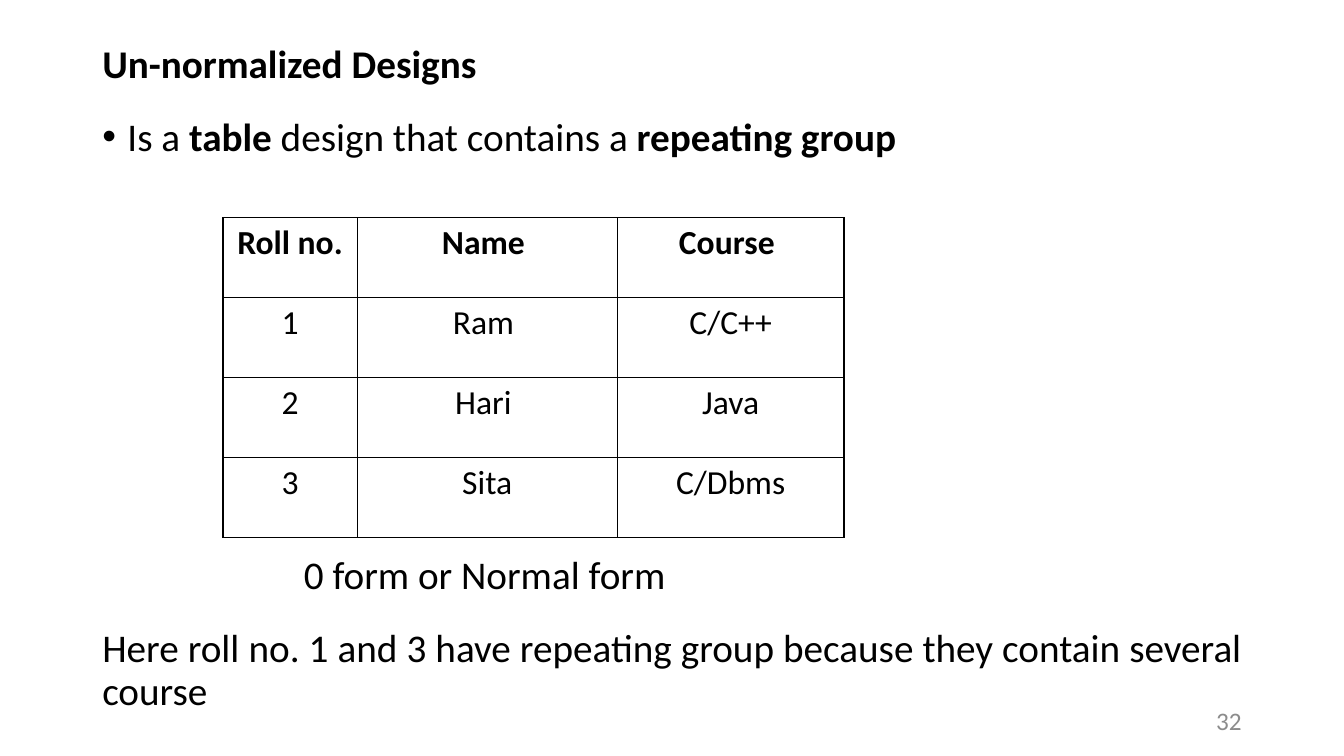
from lxml.etree import SubElement
from pptx import Presentation
from pptx.dml.color import RGBColor
from pptx.enum.text import MSO_ANCHOR as Anchor, PP_ALIGN as Align
from pptx.oxml.ns import qn
from pptx.util import Pt

BLACK = RGBColor(0x00, 0x00, 0x00)
WHITE = RGBColor(0xFF, 0xFF, 0xFF)
GRAY = RGBColor(0x8C, 0x8C, 0x8C)
FONT = "Calibri"

STUDENTS = [
    ("Roll no.", "Name ", "Course "),
    ("1", "Ram ", "C/C++"),
    ("2", "Hari ", "Java"),
    ("3", "Sita", "C/Dbms"),
]
COLUMN_WIDTHS = (95.8, 185.8, 162)
ROW_HEIGHT = 57.1


def write(paragraph, text, size=28, color=BLACK, bold=False, align=Align.JUSTIFY):
    """Add a run to the paragraph and align the paragraph."""
    paragraph.alignment = align
    run = paragraph.add_run()
    run.text = text
    run.font.name = FONT
    run.font.size = Pt(size)
    run.font.bold = bold
    run.font.color.rgb = color


def add_frame(slide, left, top, width, height, anchor=Anchor.TOP):
    frame = slide.shapes.add_textbox(Pt(left), Pt(top), Pt(width), Pt(height)).text_frame
    frame.word_wrap = True
    frame.vertical_anchor = anchor
    return frame


def space_body(paragraph):
    paragraph.line_spacing = 0.9
    paragraph.space_before = Pt(10)
    paragraph.space_after = Pt(12)


def indent(paragraph, left, first=0, bullet=None):
    properties = paragraph._p.get_or_add_pPr()
    properties.set("marL", str(Pt(left)))
    properties.set("indent", str(Pt(first)))
    if bullet:
        SubElement(properties, qn("a:buFont"), typeface="Arial")
        SubElement(properties, qn("a:buChar"), char=bullet)


def outline_cell(cell):
    properties = cell._tc.get_or_add_tcPr()
    for position, side in enumerate(("lnL", "lnR", "lnT", "lnB")):
        line = properties.makeelement(qn(f"a:{side}"), {"w": str(Pt(1))})
        fill = SubElement(line, qn("a:solidFill"))
        SubElement(fill, qn("a:srgbClr"), val=str(BLACK))
        properties.insert(position, line)


def add_student_table(slide, left, top):
    table = slide.shapes.add_table(
        len(STUDENTS), len(COLUMN_WIDTHS), Pt(left), Pt(top),
        Pt(sum(COLUMN_WIDTHS)), Pt(ROW_HEIGHT * len(STUDENTS))).table
    table.first_row = table.horz_banding = False
    for column, width in zip(table.columns, COLUMN_WIDTHS):
        column.width = Pt(width)
    for row_number, (row, values) in enumerate(zip(table.rows, STUDENTS)):
        row.height = Pt(ROW_HEIGHT)
        for cell, value in zip(row.cells, values):
            cell.fill.solid()
            cell.fill.fore_color.rgb = WHITE
            outline_cell(cell)
            write(cell.text_frame.paragraphs[0], value, size=24,
                  bold=row_number == 0, align=Align.CENTER)


def main():
    deck = Presentation()
    deck.slide_width, deck.slide_height = Pt(960), Pt(540)
    slide = deck.slides.add_slide(deck.slide_layouts[6])

    intro = add_frame(slide, 66, 28, 828, 110)
    heading, definition = intro.paragraphs[0], intro.add_paragraph()
    write(heading, "Un-normalized Designs", bold=True)
    for text, bold in (("Is a ", False), ("table", True),
                       (" design that contains a ", False), ("repeating group", True)):
        write(definition, text, bold=bold)

    closing = add_frame(slide, 66, 393.5, 828, 146)
    caption, explanation = closing.paragraphs[0], closing.add_paragraph()
    write(caption, "0 form or Normal form")
    write(explanation, "Here roll no. 1 and 3 have repeating group "
                       "because they contain several course")

    for paragraph in (heading, definition, caption, explanation):
        space_body(paragraph)
    indent(definition, 18, first=-18, bullet="•")
    indent(caption, 144)

    page_number = add_frame(slide, 678, 500.5, 216, 28.8, anchor=Anchor.MIDDLE)
    write(page_number.paragraphs[0], "32", size=18, color=GRAY, align=Align.RIGHT)

    add_student_table(slide, 159.3, 155.5)
    deck.save("out.pptx")


if __name__ == "__main__":
    main()
